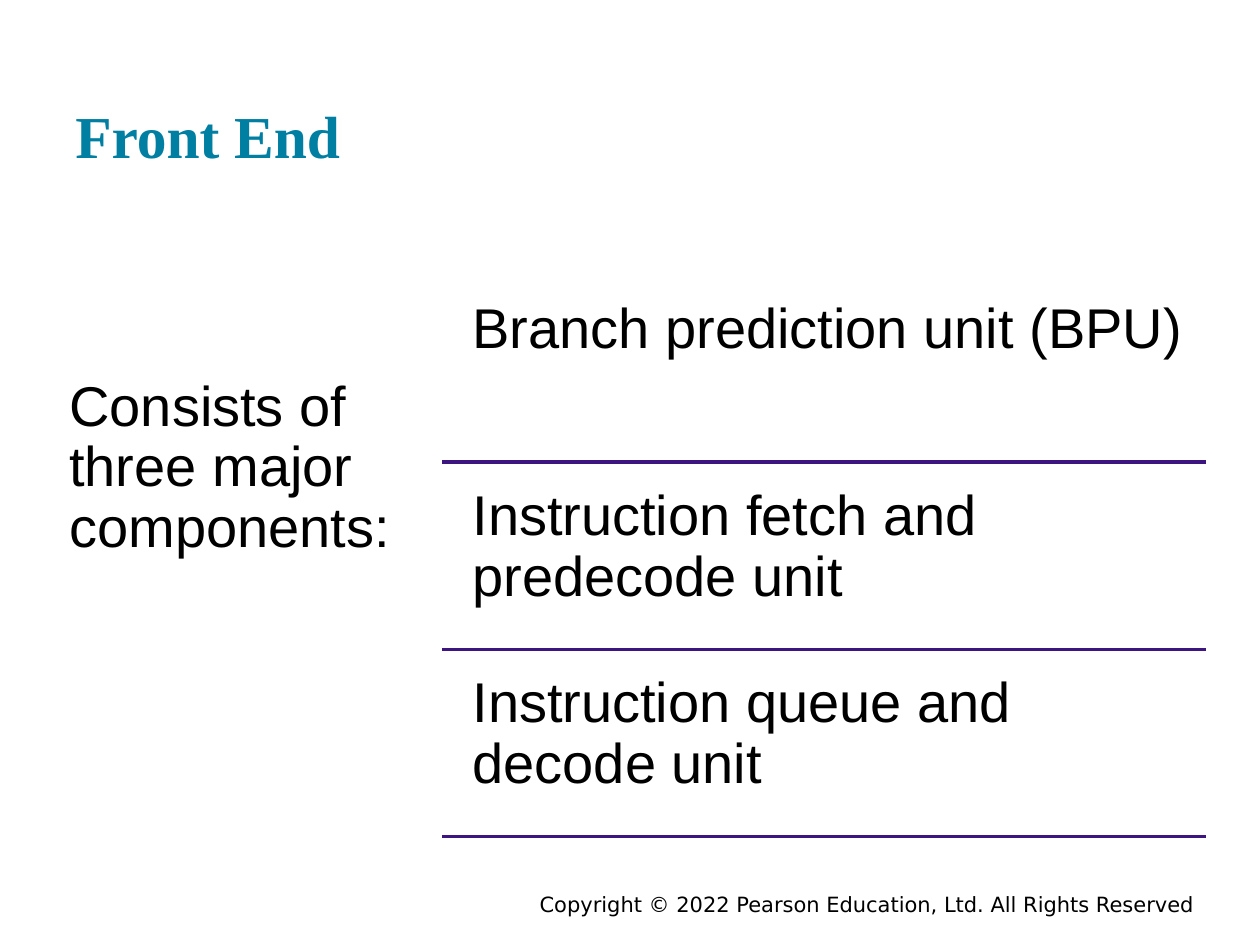
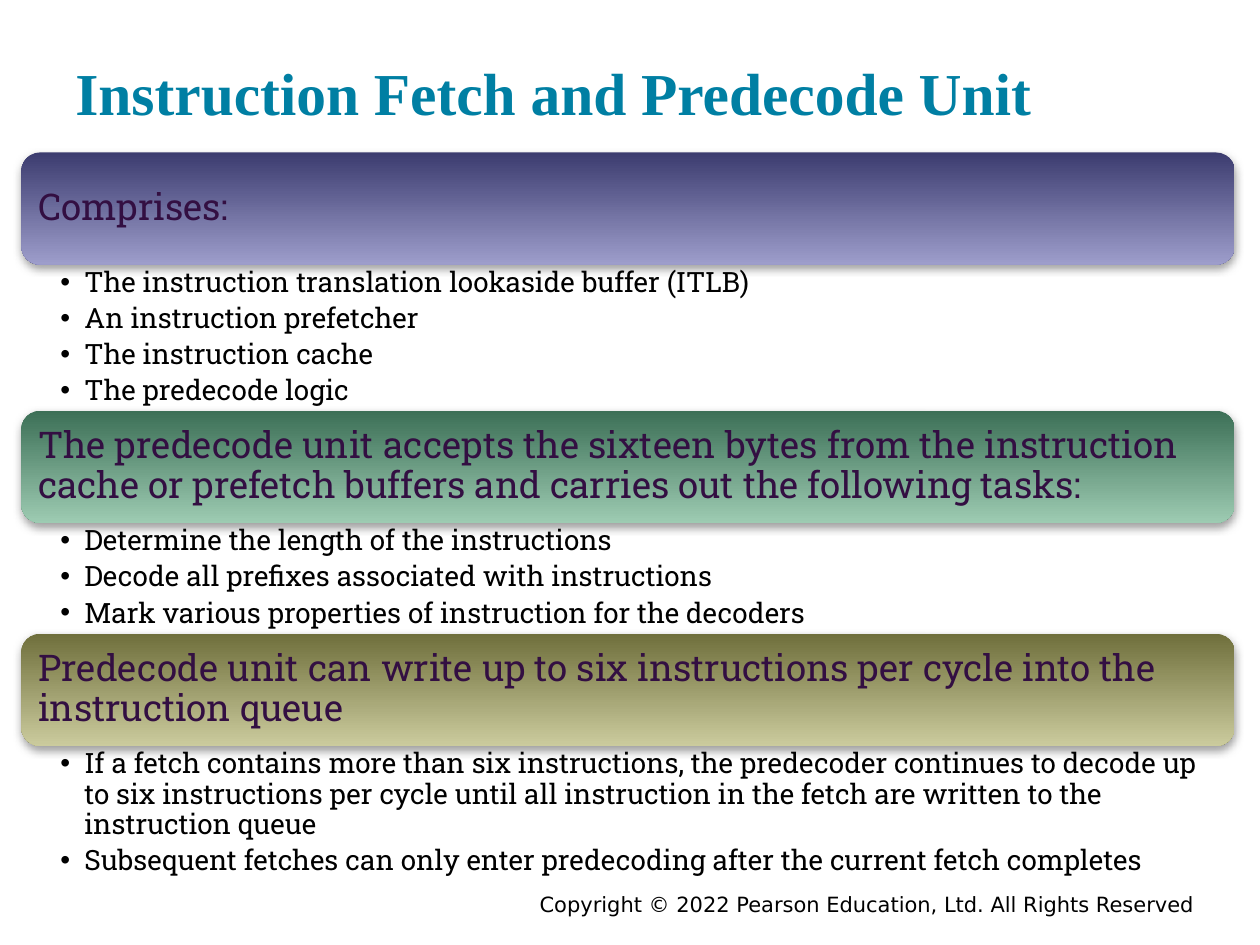
import dataclasses

import lxml.etree
import pptx
import pptx.dml.color
import pptx.enum.shapes
import pptx.enum.text
import pptx.oxml
import pptx.oxml.ns
import pptx.util

RGBColor = pptx.dml.color.RGBColor
Anchor = pptx.enum.text.MSO_ANCHOR
Align = pptx.enum.text.PP_ALIGN

BLACK = RGBColor(0x00, 0x00, 0x00)
TITLE_TEAL = RGBColor(0x00, 0x7F, 0xA3)
RULE_PURPLE = RGBColor(0x3C, 0x15, 0x81)
HEADING_PLUM = RGBColor(0x33, 0x0F, 0x42)
INDIGO = (RGBColor(0x3C, 0x3C, 0x6F), RGBColor(0x9D, 0x9D, 0xCB))
GREEN = (RGBColor(0x3C, 0x6F, 0x56), RGBColor(0x9D, 0xCB, 0xB2))
OLIVE = (RGBColor(0x6F, 0x6F, 0x3C), RGBColor(0xCB, 0xCB, 0x9D))

# The slide is a grid of 100 columns and 75 rows of equal size
SLIDE_WIDTH = pptx.util.Inches(10)
SLIDE_HEIGHT = pptx.util.Inches(7.5)
UNIT = SLIDE_WIDTH // 100

SHADOW = (
    '<a:outerShdw %s blurRad="63500" dist="25400" dir="5400000" rotWithShape="0">'
    '<a:srgbClr val="808080"><a:alpha val="75000"/></a:srgbClr></a:outerShdw>'
    % pptx.oxml.ns.nsdecls("a")
)


@dataclasses.dataclass
class Box:
    """A region in columns and rows of the grid."""
    left: float
    top: float
    width: float
    height: float

    def inner(self, left, top, width, height):
        return Box(self.left + left, self.top + top, width, height)

    def lengths(self):
        return [round(value * UNIT)
                for value in (self.left, self.top, self.width, self.height)]


@dataclasses.dataclass
class TextStyle:
    font: str
    size: float
    color: RGBColor
    bold: bool = False
    align: Align = Align.LEFT
    line_spacing: float = 1.0
    space_after: float = 0
    bullet: bool = False


TITLE = TextStyle("Times New Roman", 34, TITLE_TEAL, bold=True)
FOOTER = TextStyle("DejaVu Sans", 12, BLACK, align=Align.RIGHT)
COMPONENT = TextStyle("Arial", 32, BLACK, line_spacing=0.9)
HEADING = TextStyle("Roboto Slab", 21, HEADING_PLUM, line_spacing=0.9)
BULLET = TextStyle("Roboto Slab", 16, BLACK, line_spacing=0.9,
                   space_after=3.4, bullet=True)


def add_bullet(paragraph):
    properties = paragraph._p.get_or_add_pPr()
    indent = round(1.9 * UNIT)
    properties.set("marL", str(indent))
    properties.set("indent", str(-indent))
    for tag, name, value in (("a:buFont", "typeface", "Arial"),
                             ("a:buChar", "char", "•")):
        element = lxml.etree.SubElement(properties, pptx.oxml.ns.qn(tag))
        element.set(name, value)


def write_text(shape, texts, style, insets, anchor=Anchor.TOP):
    frame = shape.text_frame
    frame.word_wrap = True
    frame.vertical_anchor = anchor
    (frame.margin_left, frame.margin_top,
     frame.margin_right, frame.margin_bottom) = [round(i * UNIT) for i in insets]
    for index, text in enumerate(texts):
        paragraph = frame.add_paragraph() if index else frame.paragraphs[0]
        if style.bullet:
            add_bullet(paragraph)
        paragraph.alignment = style.align
        paragraph.line_spacing = style.line_spacing
        paragraph.space_after = pptx.util.Pt(style.space_after)
        run = paragraph.add_run()
        run.text = text
        run.font.name = style.font
        run.font.size = pptx.util.Pt(style.size)
        run.font.bold = style.bold
        run.font.color.rgb = style.color


def add_text(slide, box, texts, style, insets, anchor=Anchor.TOP):
    shape = slide.shapes.add_textbox(*box.lengths())
    write_text(shape, texts, style, insets, anchor)


def add_rule(slide, box):
    """Draw a horizontal rule along the bottom of the box."""
    left, top, width, height = box.lengths()
    rule = slide.shapes.add_connector(
        pptx.enum.shapes.MSO_CONNECTOR.STRAIGHT,
        left, top + height, left + width, top + height)
    rule.line.color.rgb = RULE_PURPLE
    rule.line.width = pptx.util.Pt(2)
    lxml.etree.SubElement(rule._element.spPr, pptx.oxml.ns.qn("a:effectLst"))


def add_base_slide(presentation, title, title_box):
    """Start a slide with the footer and title all slides share."""
    slide = presentation.slides.add_slide(presentation.slide_layouts[6])
    add_text(slide, Box(17.5, 70.3, 78.3, 2.2),
             ["Copyright © 2022 Pearson Education, Ltd. All Rights Reserved"],
             FOOTER, (1, 0.5, 1, 0.5))
    add_text(slide, title_box, [title], TITLE, (1, 1, 1, 1), Anchor.BOTTOM)
    return slide


def add_ruled_list(slide, box, lead, items):
    """Place the lead text on the left and one ruled row per item on the right."""
    insets = (1.3, 1.3, 1.3, 1.3)
    lead_width = 30.9
    add_text(slide, box.inner(0, 6.9, lead_width, box.height - 6.9),
             [lead], COMPONENT, insets)
    row_height = box.height / len(items)
    for index, item in enumerate(items):
        row = box.inner(lead_width, index * row_height,
                        box.width - lead_width, row_height)
        add_text(slide, row.inner(1.1, 0.7, row.width - 1.1, row_height - 0.7),
                 [item], COMPONENT, insets)
        add_rule(slide, row)


def add_heading_bar(slide, box, text, colors):
    bar = slide.shapes.add_shape(
        pptx.enum.shapes.MSO_SHAPE.ROUNDED_RECTANGLE, *box.lengths())
    bar.fill.gradient()
    bar.fill.gradient_angle = 270
    for stop, color in zip(bar.fill.gradient_stops, colors):
        stop.color.rgb = color
    bar.line.fill.background()
    bar.shadow.inherit = False
    effects = bar._element.spPr.find(pptx.oxml.ns.qn("a:effectLst"))
    effects.append(pptx.oxml.parse_xml(SHADOW))
    write_text(bar, [text], HEADING, (0.9, 0.9, 0.9, 0.9), Anchor.MIDDLE)


def add_sections(slide, box, sections):
    """Stack heading bars, each followed by its bullet list."""
    bar_height = 8.9
    top = 0
    for heading, colors, list_height, bullets in sections:
        add_heading_bar(slide, box.inner(0, top, box.width, bar_height),
                        heading, colors)
        top += bar_height
        add_text(slide, box.inner(0, top, box.width, list_height),
                 bullets, BULLET, (3.1, 0.3, 1.6, 0.3))
        top += list_height


def add_front_end_slide(presentation):
    slide = add_base_slide(presentation, "Front End", Box(5, 2.5, 90, 12))
    add_ruled_list(slide, Box(4.2, 21.8, 91.5, 44.6),
                   "Consists of three major components:",
                   ["Branch prediction unit (BPU)",
                    "Instruction fetch and predecode unit",
                    "Instruction queue and decode unit"])


def add_predecode_slide(presentation):
    slide = add_base_slide(presentation, "Instruction Fetch and Predecode Unit",
                           Box(5, 3.6, 90, 7.5))
    add_sections(slide, Box(1.7, 12.1, 96.3, 57.8), [
        ("Comprises:", INDIGO, 11.6,
         ["The instruction translation lookaside buffer (ITLB)",
          "An instruction prefetcher",
          "The instruction cache",
          "The predecode logic"]),
        ("The predecode unit accepts the sixteen bytes from the instruction "
         "cache or prefetch buffers and carries out the following tasks:",
         GREEN, 8.8,
         ["Determine the length of the instructions",
          "Decode all prefixes associated with instructions",
          "Mark various properties of instruction for the decoders"]),
        ("Predecode unit can write up to six instructions per cycle into the "
         "instruction queue", OLIVE, 10.7,
         ["If a fetch contains more than six instructions, the predecoder "
          "continues to decode up to six instructions per cycle until all "
          "instruction in the fetch are written to the instruction queue",
          "Subsequent fetches can only enter predecoding after the current "
          "fetch completes"]),
    ])


def main():
    presentation = pptx.Presentation()
    presentation.slide_width = SLIDE_WIDTH
    presentation.slide_height = SLIDE_HEIGHT
    add_front_end_slide(presentation)
    add_predecode_slide(presentation)
    presentation.save("out.pptx")


if __name__ == "__main__":
    main()
